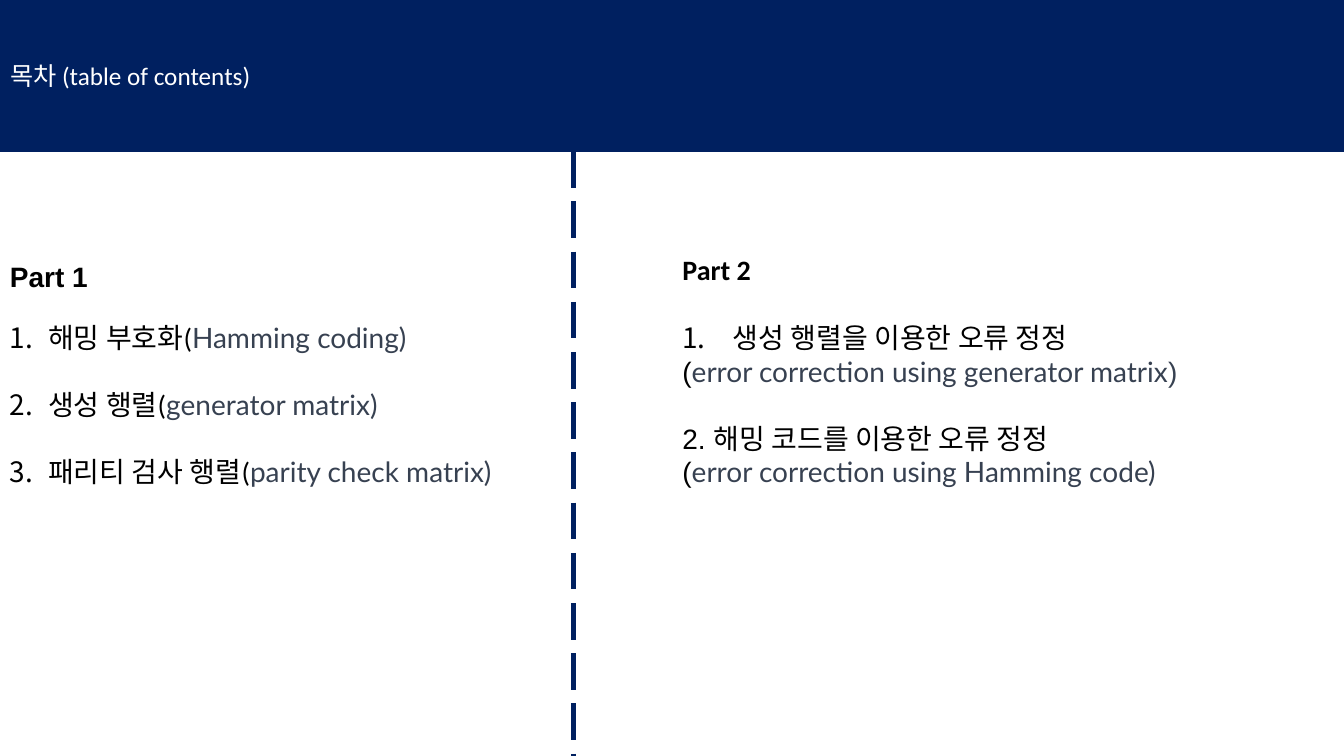
from lxml import etree
from pptx import Presentation
from pptx.dml.color import RGBColor
from pptx.enum import dml, shapes, text
from pptx.oxml import ns
from pptx.util import Inches, Pt

NAVY = RGBColor(0x00, 0x20, 0x60)
WHITE = RGBColor(0xFF, 0xFF, 0xFF)
BLACK = RGBColor(0x00, 0x00, 0x00)
SLATE = RGBColor(0x37, 0x41, 0x51)

# Content: each line is (number indent, space before, runs)
TITLE = "목차 (table of contents)"
ITEM_GAP = 24
PARTS = [
    {
        "heading": "Part 1", "font": "Arial", "heading_at": (0, 2.53),
        "list_at": (0, 3.13, 5.14, 2.12),
        "lines": [
            (0.38, 0, [("해밍 부호화(", "Calibri", BLACK),
                       ("Hamming coding)", "Lato", SLATE)]),
            (0.38, ITEM_GAP, [("생성 행렬(", "Calibri", BLACK),
                              ("generator matrix)", "Lato", SLATE)]),
            (0.38, ITEM_GAP, [("패리티 검사 행렬(", "Calibri", BLACK),
                              ("parity check matrix)", "Lato", SLATE)]),
        ],
    },
    {
        "heading": "Part 2", "font": "Calibri", "heading_at": (6.67, 2.46),
        "list_at": (6.67, 3.13, 5.56, 1.78),
        "lines": [
            (0.5, 0, [("생성 행렬을 이용한 오류 정정", "Arial", BLACK)]),
            (0, 0, [("(", "Arial", BLACK),
                    ("error correction using generator matrix", "Lato", SLATE),
                    (")", "Arial", SLATE)]),
            (0, ITEM_GAP, [("2. 해밍 코드를 이용한 오류 정정", "Arial", BLACK)]),
            (0, 0, [("(", "Arial", BLACK),
                    ("error correction using Hamming code)", "Lato", SLATE)]),
        ],
    },
]
SLIDE_W, SLIDE_H, BAND_H, DIVIDER_X = 13.33, 7.5, 1.5, 5.69


def add_run(p, words, font, color, size=20, bold=False):
    r = p.add_run()
    r.text = words
    r.font.name, r.font.size, r.font.bold = font, Pt(size), bold
    r.font.color.rgb = color


def add_text_box(slide, left, top, width, height):
    tf = slide.shapes.add_textbox(*map(Inches, (left, top, width, height))).text_frame
    tf.word_wrap = True
    return tf


def number(p, indent):
    pPr = p._p.get_or_add_pPr()
    pPr.set("marL", str(Inches(indent)))
    pPr.set("indent", str(-Inches(indent)))
    etree.SubElement(pPr, ns.qn("a:buAutoNum"), type="arabicPeriod")


prs = Presentation()
prs.slide_width, prs.slide_height = Inches(SLIDE_W), Inches(SLIDE_H)
slide = prs.slides.add_slide(prs.slide_layouts[5])

# Title band
band = slide.shapes.title
band.left, band.top = 0, 0
band.width, band.height = Inches(SLIDE_W), Inches(BAND_H)
band.fill.solid()
band.fill.fore_color.rgb = NAVY
band.line.color.rgb = NAVY
band.line.width = Pt(1)
tf = band.text_frame
tf.auto_size = text.MSO_AUTO_SIZE.NONE
tf.vertical_anchor = text.MSO_ANCHOR.MIDDLE
tf.paragraphs[0].alignment = text.PP_ALIGN.LEFT
add_run(tf.paragraphs[0], TITLE, "Calibri", WHITE, size=18)

# Headings and lists
for part in PARTS:
    tf = add_text_box(slide, *part["heading_at"], 2.24, 0.44)
    add_run(tf.paragraphs[0], part["heading"], part["font"], BLACK, bold=True)

    tf = add_text_box(slide, *part["list_at"])
    for i, (indent, gap, runs) in enumerate(part["lines"]):
        p = tf.add_paragraph() if i else tf.paragraphs[0]
        p.space_before = Pt(gap)
        if indent:
            number(p, indent)
        for words, font, color in runs:
            add_run(p, words, font, color)

# Dashed divider
divider = slide.shapes.add_connector(
    shapes.MSO_CONNECTOR.STRAIGHT,
    *map(Inches, (DIVIDER_X, BAND_H, DIVIDER_X, SLIDE_H)))
divider.line.color.rgb = NAVY
divider.line.width = Pt(3.25)
divider.line.dash_style = dml.MSO_LINE.LONG_DASH
etree.SubElement(divider._element.spPr, ns.qn("a:effectLst"))

prs.save("out.pptx")
